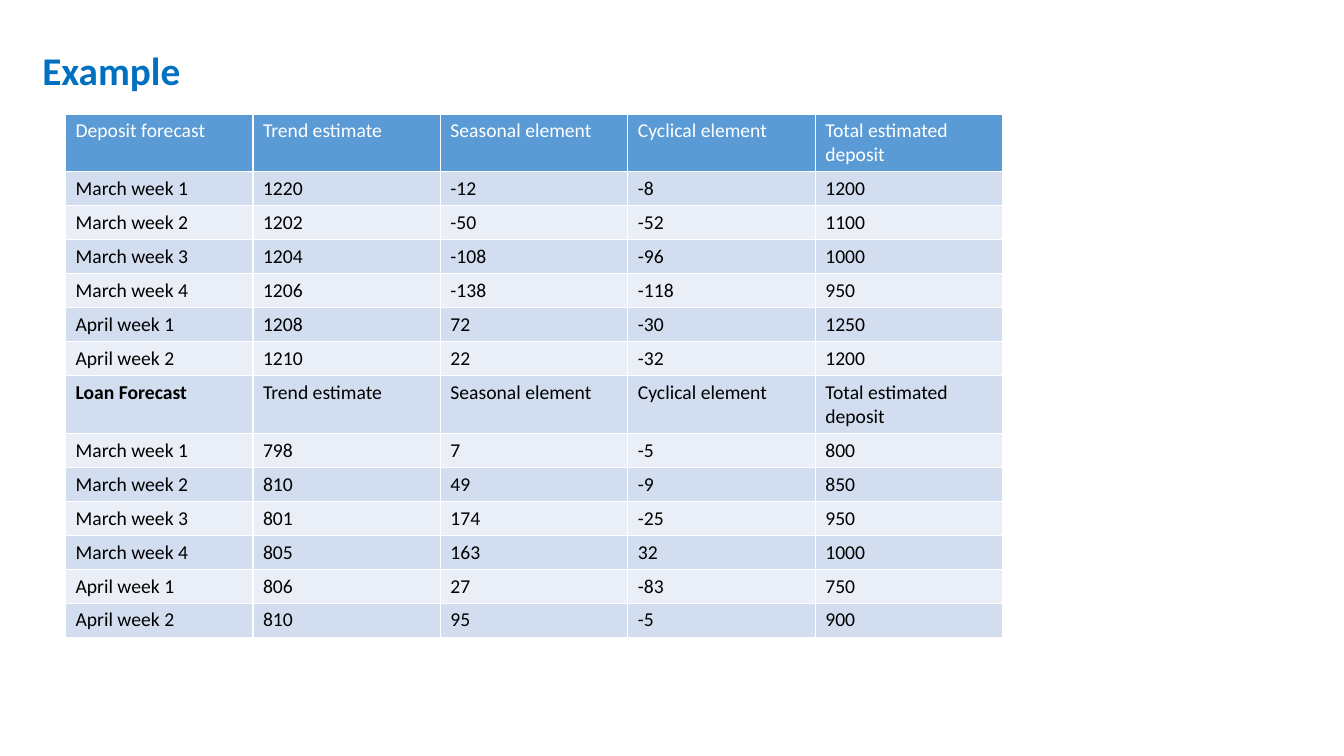
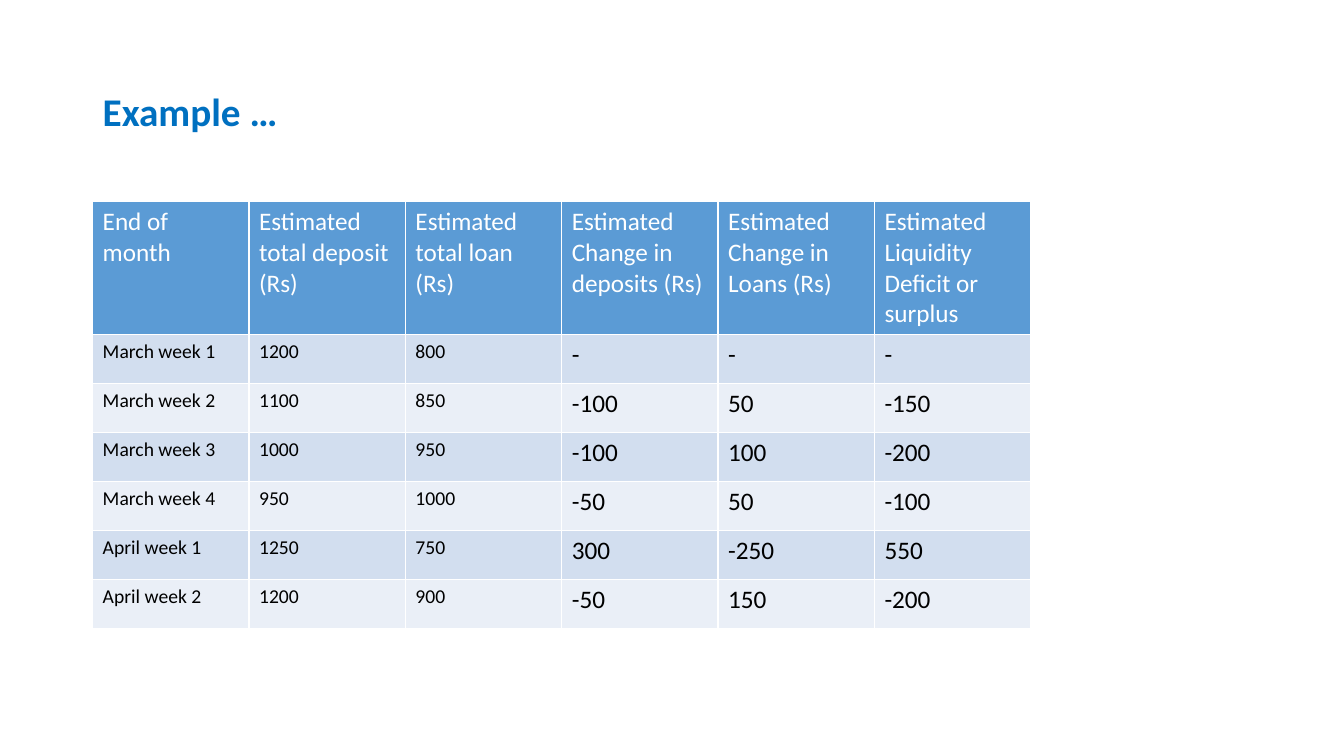
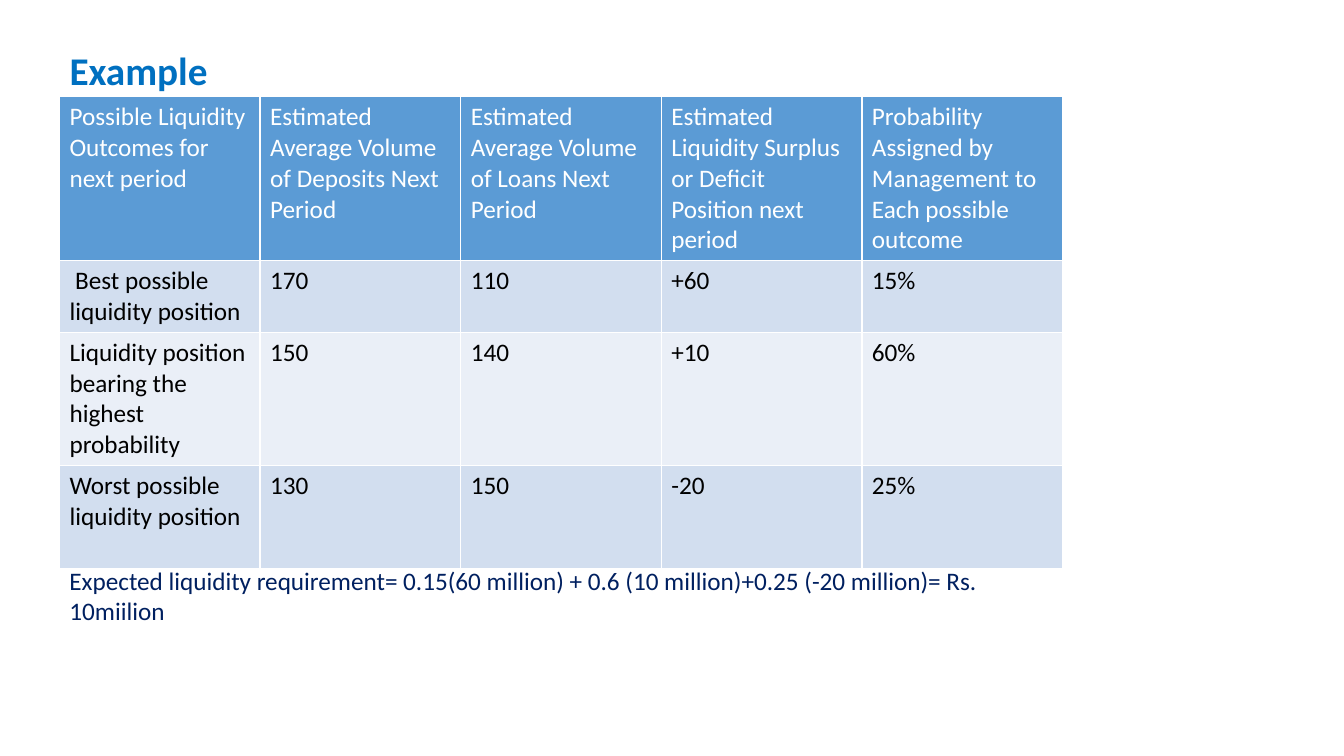
from dataclasses import dataclass
from typing import Optional

from pptx import Presentation
from pptx.dml.color import RGBColor
from pptx.enum.text import MSO_ANCHOR as Anchor, MSO_AUTO_SIZE as AutoSize, PP_ALIGN as Align
from pptx.slide import Slide
from pptx.util import Pt

FONT = "Calibri"
WHITE = RGBColor(0xFF, 0xFF, 0xFF)
BLACK = RGBColor(0x00, 0x00, 0x00)
TITLE_BLUE = RGBColor(0x00, 0x70, 0xC0)
NOTE_NAVY = RGBColor(0x00, 0x20, 0x60)
HEADER_BLUE = RGBColor(0x5B, 0x9B, 0xD5)
BANDS = (RGBColor(0xD2, 0xDE, 0xEF), RGBColor(0xEA, 0xEF, 0xF7))

TITLE_ONLY = 5
TITLE_WIDTH, TITLE_HEIGHT = 828, 104.4


@dataclass(frozen=True)
class TableSpec:
    left: float
    top: float
    column_width: float
    row_heights: list[float]
    header_size: float
    body_sizes: list[float]  # one per column
    rows: list[list[str]]
    bold_cell: Optional[str] = None
    indented_cell: Optional[str] = None


@dataclass(frozen=True)
class SlideSpec:
    title: str
    title_left: float
    title_top: float
    table: TableSpec


FORECAST_TABLE = TableSpec(
    46.8, 81.4, 133.9, ([41] + [24] * 6) * 2, 14, [14] * 5,
    [
        ["Deposit forecast", "Trend estimate", "Seasonal element", "Cyclical element",
         "Total estimated deposit"],
        ["March week 1", "1220", "-12", "-8", "1200"],
        ["March week 2", "1202", "-50", "-52", "1100"],
        ["March week 3", "1204", "-108", "-96", "1000"],
        ["March week 4", "1206", "-138", "-118", "950"],
        ["April week 1", "1208", "72", "-30", "1250"],
        ["April week 2", "1210", "22", "-32", "1200"],
        ["Loan Forecast", "Trend estimate", "Seasonal element", "Cyclical element",
         "Total estimated deposit"],
        ["March week 1", "798", "7", "-5", "800"],
        ["March week 2", "810", "49", "-9", "850"],
        ["March week 3", "801", "174", "-25", "950"],
        ["March week 4", "805", "163", "32", "1000"],
        ["April week 1", "806", "27", "-83", "750"],
        ["April week 2", "810", "95", "-5", "900"],
    ],
    bold_cell="Loan Forecast",
)

LIQUIDITY_TABLE = TableSpec(
    66.2, 144, 111.7, [95] + [35] * 6, 18, [14] * 3 + [18] * 3,
    [
        ["End of month", "Estimated total deposit\n(Rs)", "Estimated total loan (Rs)",
         "Estimated Change in deposits (Rs)", "Estimated Change in Loans (Rs)",
         "Estimated Liquidity Deficit or surplus"],
        ["March week 1", "1200", "800", "-", "-", "-"],
        ["March week 2", "1100", "850", "-100", "50", "-150"],
        ["March week 3", "1000", "950", "-100", "100", "-200"],
        ["March week 4", "950", "1000", "-50", "50", "-100"],
        ["April week 1", "1250", "750", "300", "-250", "550"],
        ["April week 2", "1200", "900", "-50", "150", "-200"],
    ],
)

OUTCOME_TABLE = TableSpec(
    42.5, 69.1, 143.3, [117, 51, 95, 73.5], 18, [18] * 5,
    [
        ["Possible Liquidity Outcomes for next period",
         "Estimated Average Volume of Deposits Next Period",
         "Estimated Average Volume of Loans Next Period",
         "Estimated\nLiquidity Surplus or Deficit Position next period",
         "Probability Assigned by Management to Each possible outcome"],
        ["Best possible liquidity position", "170", "110", "+60", "15%"],
        ["Liquidity position bearing the highest probability", "150", "140", "+10", "60%"],
        ["Worst possible liquidity position", "130", "150", "-20", "25%"],
    ],
    indented_cell="Best possible liquidity position",
)

SLIDES = [
    SlideSpec("Example", 23, 0, FORECAST_TABLE),
    SlideSpec("Example …", 66.2, 28.8, LIQUIDITY_TABLE),
    SlideSpec("Example", 42.5, 0, OUTCOME_TABLE),
]
NOTE = ("Expected liquidity requirement= 0.15(60 million) + 0.6 (10 million)"
        "+0.25 (-20 million)= Rs. 10miilion")


def set_font(paragraph, size: float, color: RGBColor, bold: bool = False) -> None:
    font = paragraph.font
    font.name, font.size, font.bold = FONT, Pt(size), bold
    font.color.rgb = color


def add_title(slide: Slide, spec: SlideSpec) -> None:
    title = slide.shapes.title
    title.left, title.top = Pt(spec.title_left), Pt(spec.title_top)
    title.width, title.height = Pt(TITLE_WIDTH), Pt(TITLE_HEIGHT)
    frame = title.text_frame
    frame.auto_size = AutoSize.NONE
    frame.vertical_anchor = Anchor.MIDDLE
    frame.text = spec.title
    paragraph = frame.paragraphs[0]
    paragraph.alignment = Align.LEFT
    paragraph.line_spacing = 0.9
    set_font(paragraph, 28, TITLE_BLUE, bold=True)


def add_data_table(slide: Slide, spec: TableSpec) -> None:
    column_count = len(spec.rows[0])
    table = slide.shapes.add_table(
        len(spec.rows), column_count, Pt(spec.left), Pt(spec.top),
        Pt(spec.column_width * column_count), Pt(sum(spec.row_heights))).table
    for column in table.columns:
        column.width = Pt(spec.column_width)
    for row_index, texts in enumerate(spec.rows):
        table.rows[row_index].height = Pt(spec.row_heights[row_index])
        is_header = row_index == 0
        fill_color = HEADER_BLUE if is_header else BANDS[(row_index - 1) % 2]
        for column_index, text in enumerate(texts):
            cell = table.cell(row_index, column_index)
            cell.fill.solid()
            cell.fill.fore_color.rgb = fill_color
            cell.text = text
            size = spec.header_size if is_header else spec.body_sizes[column_index]
            for paragraph in cell.text_frame.paragraphs:
                if text == spec.indented_cell:
                    paragraph._p.get_or_add_pPr().set("indent", str(Pt(4)))
                set_font(paragraph, size, WHITE if is_header else BLACK,
                         bold=text == spec.bold_cell)


def add_note(slide: Slide) -> None:
    box = slide.shapes.add_textbox(Pt(42.5), Pt(400.3), Pt(716.4), Pt(51))
    box.text_frame.word_wrap = True
    box.text_frame.text = NOTE
    set_font(box.text_frame.paragraphs[0], 18, NOTE_NAVY)


def main() -> None:
    presentation = Presentation()
    presentation.slide_width, presentation.slide_height = Pt(960), Pt(540)
    for spec in SLIDES:
        slide = presentation.slides.add_slide(presentation.slide_layouts[TITLE_ONLY])
        add_title(slide, spec)
        add_data_table(slide, spec.table)
    add_note(slide)
    presentation.save("out.pptx")


if __name__ == "__main__":
    main()
